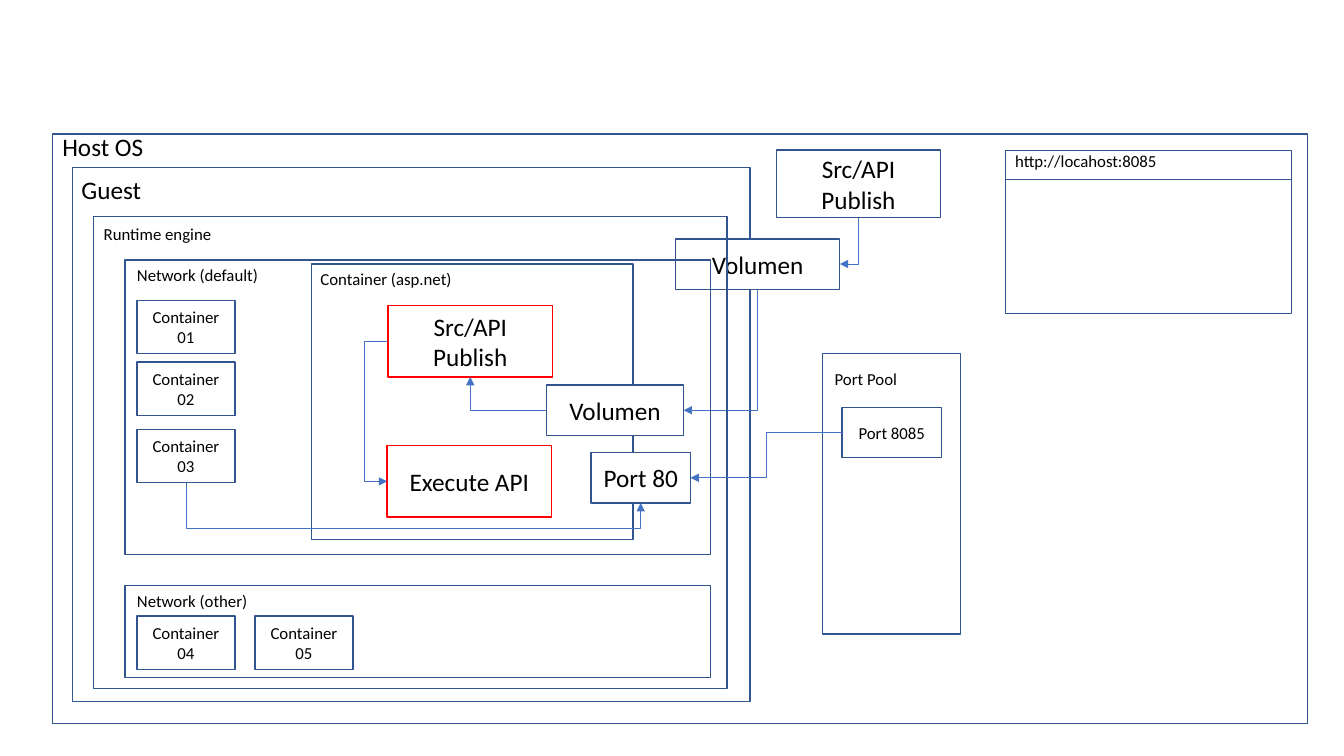
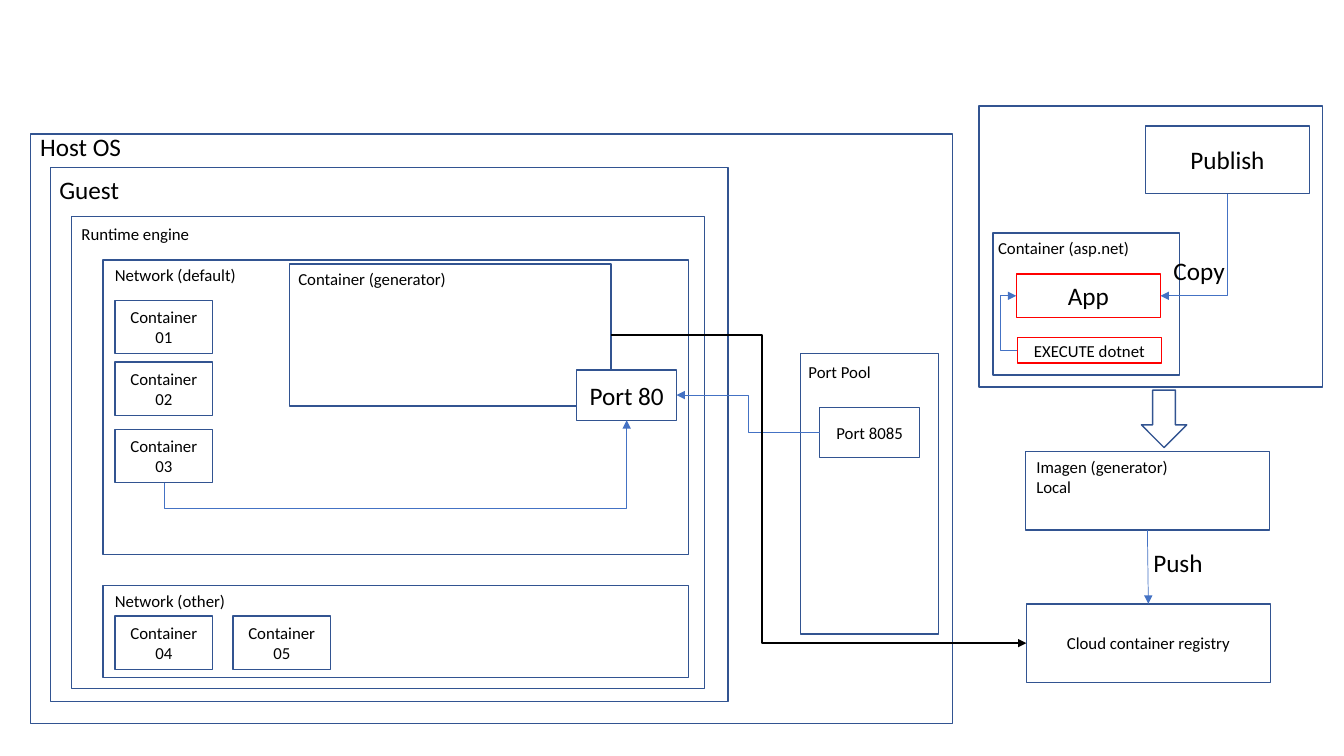
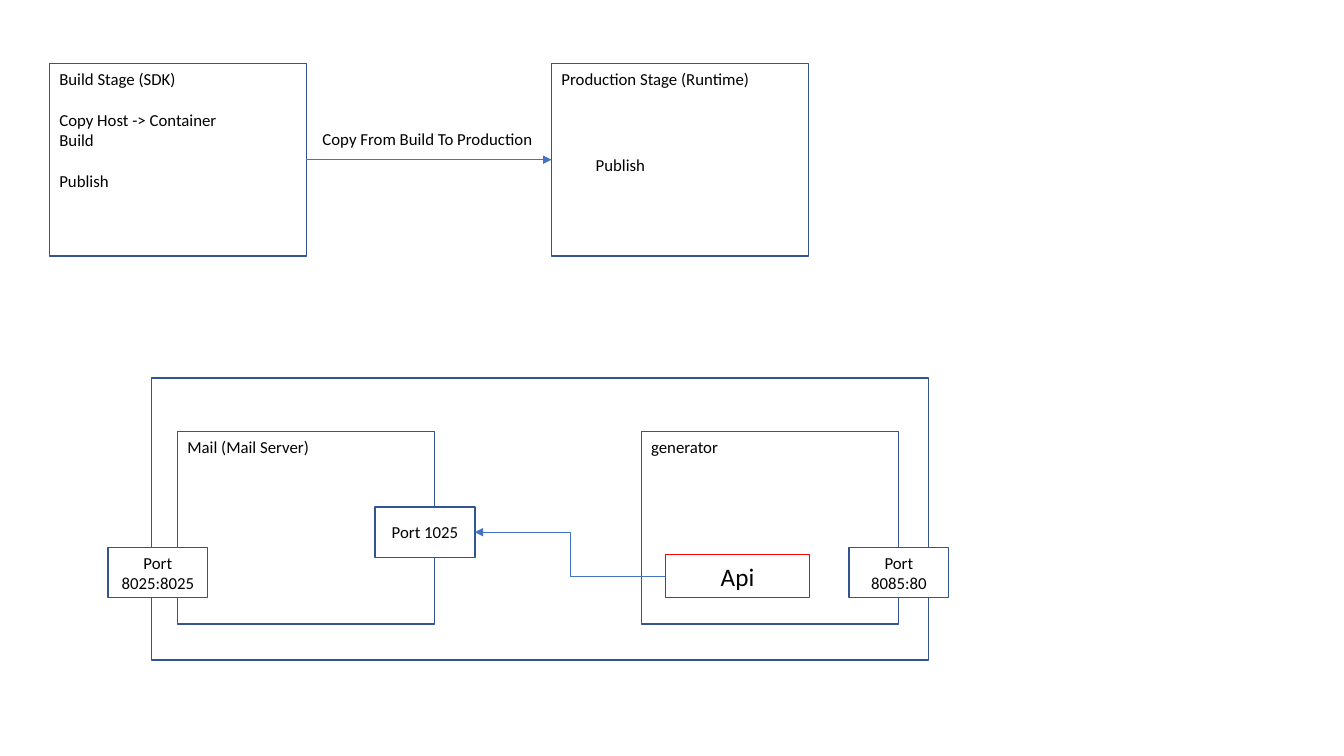
from lxml.etree import SubElement
from pptx import Presentation
from pptx.dml.color import RGBColor
from pptx.enum.shapes import MSO_CONNECTOR as LINK, MSO_SHAPE as SHAPE
from pptx.enum.text import MSO_ANCHOR as ANCHOR, MSO_AUTO_SIZE as AUTO, PP_ALIGN as ALIGN
from pptx.oxml.ns import qn
from pptx.util import Inches, Pt

NAVY = RGBColor(0x32, 0x54, 0x91)
BLUE = RGBColor(0x44, 0x72, 0xC4)
RED = RGBColor(0xFF, 0x00, 0x00)
BLACK = RGBColor(0x00, 0x00, 0x00)
WHITE = RGBColor(0xFF, 0xFF, 0xFF)
FONT = "Calibri"
TOP, LEFT, BOTTOM, RIGHT = range(4)


def add_box(slide, left, top, width, height, text="", size=12, line=NAVY, fill=None,
            kind=SHAPE.RECTANGLE):
    """Draw an outlined box with centred text, or a plain label when line is None."""
    at = [Inches(n) for n in (left, top, width, height)]
    if line is None:
        box = slide.shapes.add_textbox(*at)
        box.text_frame.word_wrap = False
        box.text_frame.auto_size = AUTO.SHAPE_TO_FIT_TEXT
    else:
        box = slide.shapes.add_shape(kind, *at)
        box.shadow.inherit = False
        box.line.color.rgb = line
        box.line.width = Pt(1)
        if fill is None:
            box.fill.background()
        else:
            box.fill.solid()
            box.fill.fore_color.rgb = fill
        box.text_frame.word_wrap = True
        box.text_frame.vertical_anchor = ANCHOR.MIDDLE
    frame = box.text_frame
    for i, words in enumerate(text.split("\n") if text else []):
        paragraph = frame.add_paragraph() if i else frame.paragraphs[0]
        paragraph.alignment = ALIGN.LEFT if line is None else ALIGN.CENTER
        run = paragraph.add_run()
        run.text = words
        run.font.size = Pt(size)
        run.font.name = FONT
        run.font.color.rgb = BLACK
    return box


def add_arrow(slide, start, start_side, end, end_side, via=None, color=BLUE, weight=0.5,
              kind=LINK.ELBOW):
    """Join two box sides; via is where the middle leg of an elbow lies, in inches."""
    arrow = slide.shapes.add_connector(kind, 0, 0, 0, 0)
    arrow.begin_connect(start, start_side)
    arrow.end_connect(end, end_side)
    arrow.line.color.rgb = color
    arrow.line.width = Pt(weight)
    props = arrow._element.spPr
    SubElement(props.find(qn("a:ln")), qn("a:tailEnd"), type="triangle")
    SubElement(props, qn("a:effectLst"))
    if kind == LINK.STRAIGHT:
        return
    x, y = arrow.begin_x, arrow.begin_y
    dx, dy = arrow.end_x - x, arrow.end_y - y
    upright = start_side in (TOP, BOTTOM)
    # An elbow leaves sideways by default, so one that leaves vertically is turned by 90 degrees
    along, across = (dy, -dx) if upright else (dx, dy)
    arrow.left = x + (dx - abs(along)) // 2
    arrow.top = y + (dy - abs(across)) // 2
    arrow.width, arrow.height = abs(along), abs(across)
    frame = props.find(qn("a:xfrm"))
    frame.set("rot", "5400000" if upright else "0")
    frame.set("flipH", str(int(along < 0)))
    frame.set("flipV", str(int(across < 0)))
    geometry = props.find(qn("a:prstGeom"))
    if upright != (end_side in (TOP, BOTTOM)):
        geometry.set("prst", "bentConnector2")
    elif via is not None:
        ratio = (Inches(via) - (y if upright else x)) / along
        SubElement(geometry.find(qn("a:avLst")), qn("a:gd"), name="adj1",
                   fmla=f"val {round(ratio * 100000)}")


deck = Presentation()
deck.slide_width, deck.slide_height = Inches(13.33), Inches(7.5)
volume_slide, registry_slide, stages_slide = [
    deck.slides.add_slide(deck.slide_layouts[6]) for _ in range(3)]

# Host machine, shared by the first two slides
app_boxes = []
for slide, x, host_width, app_height, app_name, app_name_width in (
        (volume_slide, 0.52, 12.45, 2.73, "Container (asp.net)", 1.51),
        (registry_slide, 0.3, 9.15, 1.41, "Container (generator)", 1.68)):
    app_boxes.append(add_box(slide, x + 2.57, 2.62, 3.19, app_height))
    add_box(slide, x + 0.2, 1.66, 6.72, 5.3)
    add_box(slide, x, 1.33, host_width, 5.85)
    add_box(slide, x, 1.25, 1, 0.4, "Host OS", 18, line=None)
    add_box(slide, x + 0.19, 1.68, 0.84, 0.4, "Guest", 18, line=None)
    add_box(slide, x + 2.56, 2.62, app_name_width, 0.3, app_name, line=None)

# Slide 1: volumes and published sources
sources = add_box(volume_slide, 7.7, 1.49, 1.63, 0.67, "Src/API\nPublish", 18)
host_volume = add_box(volume_slide, 6.7, 2.37, 1.63, 0.5, "Volumen", 18, fill=WHITE)
app_volume = add_box(volume_slide, 5.42, 3.82, 1.36, 0.5, "Volumen", 18, fill=WHITE)
app_sources = add_box(volume_slide, 3.85, 3.03, 1.63, 0.71, "Src/API\nPublish", 18, RED)
execute_api = add_box(volume_slide, 3.84, 4.42, 1.63, 0.71, "Execute API", 18, RED)
add_arrow(volume_slide, sources, BOTTOM, host_volume, RIGHT)
add_arrow(volume_slide, host_volume, BOTTOM, app_volume, RIGHT)
add_arrow(volume_slide, app_volume, LEFT, app_sources, BOTTOM)
add_arrow(volume_slide, app_sources, LEFT, execute_api, LEFT, via=3.61)
for height in (1.62, 0.29):
    add_box(volume_slide, 9.97, 1.49, 2.84, height)
add_box(volume_slide, 9.97, 1.45, 1.63, 0.3, "http://locahost:8085", line=None)

# Container engine, its networks and ports, shared by the first two slides
for slide, x, port_x, port_y, pool_name_x, pool_name_y, turn_y in (
        (volume_slide, 0.93, 5.86, 4.49, 8.18, 3.61, 5.24),
        (registry_slide, 0.71, 5.72, 3.67, 7.92, 3.54, 5.04)):
    app_port = add_box(slide, port_x, port_y, 0.99, 0.5, "Port 80", 18, fill=WHITE)
    add_box(slide, x, 2.15, 6.28, 4.68)
    add_box(slide, x, 2.17, 1.28, 0.3, "Runtime engine", line=None)
    for y, height, name, name_width in ((2.58, 2.92, "Network (default)", 1.41),
                                        (5.81, 0.91, "Network (other)", 1.31)):
        add_box(slide, x + 0.31, y, 5.81, height)
        add_box(slide, x + 0.33, y, name_width, 0.3, name, line=None)
    containers = [
        add_box(slide, x + offset, y, 0.97, 0.53, f"Container {number:02}")
        for number, (offset, y) in enumerate(
            ((0.43, 2.98), (0.43, 3.59), (0.43, 4.26), (0.43, 6.11), (1.6, 6.11)), 1)]
    add_arrow(slide, containers[2], BOTTOM, app_port, BOTTOM, via=turn_y)
    add_box(slide, x + 7.23, 3.51, 1.37, 2.78, fill=WHITE)
    add_box(slide, pool_name_x, pool_name_y, 0.87, 0.3, "Port Pool", line=None)
    pool_port = add_box(slide, x + 7.42, 4.04, 0.99, 0.5, "Port 8085", fill=WHITE)
    add_arrow(slide, pool_port, LEFT, app_port, RIGHT)

# Slide 2: image build and push to the registry
add_box(registry_slide, 9.85, 2.31, 1.85, 1.41)
add_box(registry_slide, 9.8, 2.31, 1.51, 0.3, "Container (asp.net)", line=None)
publish = add_box(registry_slide, 11.36, 1.25, 1.63, 0.67, "Publish", 18)
app = add_box(registry_slide, 10.08, 2.72, 1.43, 0.43, "App", 18, RED)
execute = add_box(registry_slide, 10.09, 3.35, 1.43, 0.25, "EXECUTE dotnet", line=RED)
add_arrow(registry_slide, publish, BOTTOM, app, RIGHT)
add_arrow(registry_slide, execute, LEFT, app, LEFT, via=9.92)
add_box(registry_slide, 11.54, 2.48, 0.72, 0.4, "Copy", 18, line=None)
add_box(registry_slide, 9.71, 1.05, 3.41, 2.79)
add_box(registry_slide, 11.32, 3.87, 0.45, 0.57, kind=SHAPE.DOWN_ARROW)
image = add_box(registry_slide, 10.17, 4.48, 2.42, 0.78)
add_box(registry_slide, 10.18, 4.48, 1.52, 0.5, "Imagen (generator)\nLocal", line=None)
registry = add_box(registry_slide, 10.18, 5.99, 2.42, 0.78, "Cloud container registry")
add_arrow(registry_slide, app_boxes[1], RIGHT, registry, LEFT, via=7.56, color=BLACK, weight=1.5)
add_arrow(registry_slide, image, BOTTOM, registry, TOP, kind=LINK.STRAIGHT)
add_box(registry_slide, 11.34, 5.38, 0.7, 0.4, "Push", 18, line=None)

# Slide 3: build stages above, mail and generator containers below
stages = []
for x, y, name, name_width in ((0.49, 0.63, "Build Stage (SDK)", 1.37),
                               (5.47, 0.63, "Production Stage (Runtime)", 2.08),
                               (1.76, 4.28, "Mail (Mail Server)", 1.42),
                               (6.36, 4.28, "generator", 0.87)):
    stages.append(add_box(stages_slide, x, y, 2.55, 1.91))
    add_box(stages_slide, x, y, name_width, 0.3, name, line=None)
add_arrow(stages_slide, stages[0], RIGHT, stages[1], LEFT, kind=LINK.STRAIGHT)
steps = add_box(stages_slide, 0.49, 1.04, 1.78, 0.91,
                "Copy Host -> Container\nBuild\nPublish", line=None)
steps.text_frame.paragraphs[2].space_before = Pt(14.5)
add_box(stages_slide, 5.81, 1.49, 0.7, 0.3, "Publish", line=None)
add_box(stages_slide, 3.1, 1.23, 2.31, 0.3, "Copy From Build To Production", line=None)

add_box(stages_slide, 1.5, 3.75, 7.71, 2.8)
api = add_box(stages_slide, 6.6, 5.5, 1.43, 0.43, "Api", 18, RED)
for x, y, ports in ((8.42, 5.43, "8085:80"), (1.07, 5.43, "8025:8025"), (3.72, 5.03, "1025")):
    mail_port = add_box(stages_slide, x, y, 0.99, 0.5, f"Port {ports}", fill=WHITE)
add_arrow(stages_slide, api, LEFT, mail_port, RIGHT)

deck.save("out.pptx")
